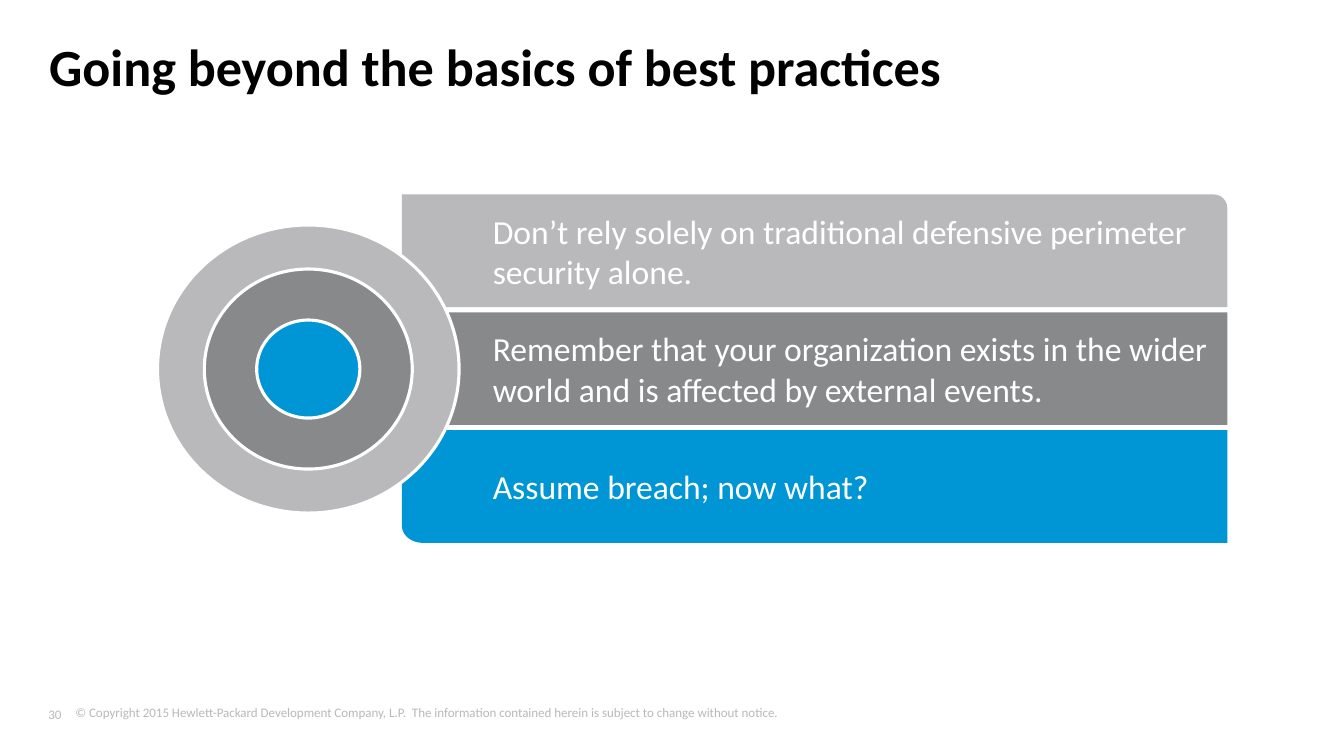
import math

import pptx
import pptx.dml.color
import pptx.enum.shapes
import pptx.enum.text
import pptx.util

Cm = pptx.util.Cm
SHAPE = pptx.enum.shapes.MSO_SHAPE
MIDDLE = pptx.enum.text.MSO_ANCHOR.MIDDLE
FONT = "Calibri"
COLORS = {
    "black": "000000",
    "white": "FFFFFF",
    "light": "B9B8BB",
    "dark": "87898B",
    "blue": "0096D6",
}

# Bars share one left edge, size and pitch
LEFT, TOP, WIDTH, HEIGHT, PITCH = 10.13, 4.9, 20.8, 2.84, 2.97
BARS = [
    ("light", "Don’t rely solely on traditional defensive perimeter security alone."),
    ("dark", "Remember that your organization exists in the wider world "
             "and is affected by external events."),
    ("blue", "Assume breach; now what?"),
]

# Rings share one centre
MID_X, MID_Y = 7.77, 9.3
RINGS = [("light", 7.6, 7.26), ("dark", 5.24, 5.04), ("blue", 2.6, 2.47)]


def color(name):
    return pptx.dml.color.RGBColor.from_string(COLORS[name])


def write(shape, text, size, tint, inset, bold=False, wrap=True, anchor=None):
    frame = shape.text_frame
    frame.word_wrap = wrap
    frame.vertical_anchor = anchor
    (frame.margin_left, frame.margin_top,
     frame.margin_right, frame.margin_bottom) = [Cm(side) for side in inset]
    line = frame.paragraphs[0]
    line.alignment = pptx.enum.text.PP_ALIGN.LEFT
    run = line.add_run()
    run.text = text
    run.font.name = FONT
    run.font.size = pptx.util.Pt(size)
    run.font.bold = bold
    run.font.color.rgb = color(tint)


def add_text(slide, box, *args, **style):
    shape = slide.shapes.add_textbox(*[Cm(side) for side in box])
    write(shape, *args, **style)


def paint(shape, fill, edge=None):
    shape.shadow.inherit = False
    shape.fill.solid()
    shape.fill.fore_color.rgb = color(fill)
    if edge:
        shape.line.color.rgb = color(edge)
        shape.line.width = pptx.util.Pt(2.25)
    else:
        shape.line.fill.background()


def add_base(slide, top):
    """Bar with a rounded lower left corner."""
    wide, high, steps = 0.53, 0.43, 16
    right, low = LEFT + WIDTH, top + HEIGHT
    points = [(right, top), (right, low)]
    for step in range(steps + 1):
        turn = math.pi / 2 * step / steps
        points.append((LEFT + wide * (1 - math.sin(turn)),
                       low - high * (1 - math.cos(turn))))
    path = slide.shapes.build_freeform(Cm(LEFT), Cm(top))
    path.add_line_segments([(Cm(x), Cm(y)) for x, y in points], close=True)
    return path.convert_to_shape()


def add_bar(slide, row, fill, text):
    top = TOP + row * PITCH
    if row == len(BARS) - 1:
        bar = add_base(slide, top)
    else:
        kind = SHAPE.RECTANGLE if row else SHAPE.ROUND_1_RECTANGLE
        bar = slide.shapes.add_shape(kind, Cm(LEFT), Cm(top), Cm(WIDTH), Cm(HEIGHT))
        if row == 0:
            bar.adjustments[0] = 0.12
    paint(bar, fill)
    write(bar, text, 24, "white", (2.29, 0.13, 0.25, 0.13), anchor=MIDDLE)


def add_ring(slide, fill, width, height):
    ring = slide.shapes.add_shape(
        SHAPE.OVAL, Cm(MID_X - width / 2), Cm(MID_Y - height / 2), Cm(width), Cm(height))
    paint(ring, fill, "white")


def main():
    deck = pptx.Presentation()
    deck.slide_width, deck.slide_height = Cm(33.87), Cm(19.05)
    slide = deck.slides.add_slide(deck.slide_layouts[6])

    # Footer
    add_text(slide, (1.65, 17.63, 29.67, 0.84),
             "© Copyright 2015 Hewlett-Packard Development Company, L.P.  "
             "The information contained herein is subject to change without notice.",
             9.3, "light", (0.25, 0.13, 0.25, 0.13))
    add_text(slide, (1.22, 17.73, 1.19, 0.56), "30", 9.3, "light",
             (0, 0.18, 0.33, 0.18), wrap=False, anchor=MIDDLE)

    # Title
    add_text(slide, (1.24, 0.86, 31.09, 1.6), "Going beyond the basics of best practices",
             37.3, "black", (0, 0, 0, 0), bold=True)

    # Bars, then the target over them
    for row, (fill, text) in enumerate(BARS):
        add_bar(slide, row, fill, text)
    for ring in RINGS:
        add_ring(slide, *ring)

    deck.save("out.pptx")


if __name__ == "__main__":
    main()
